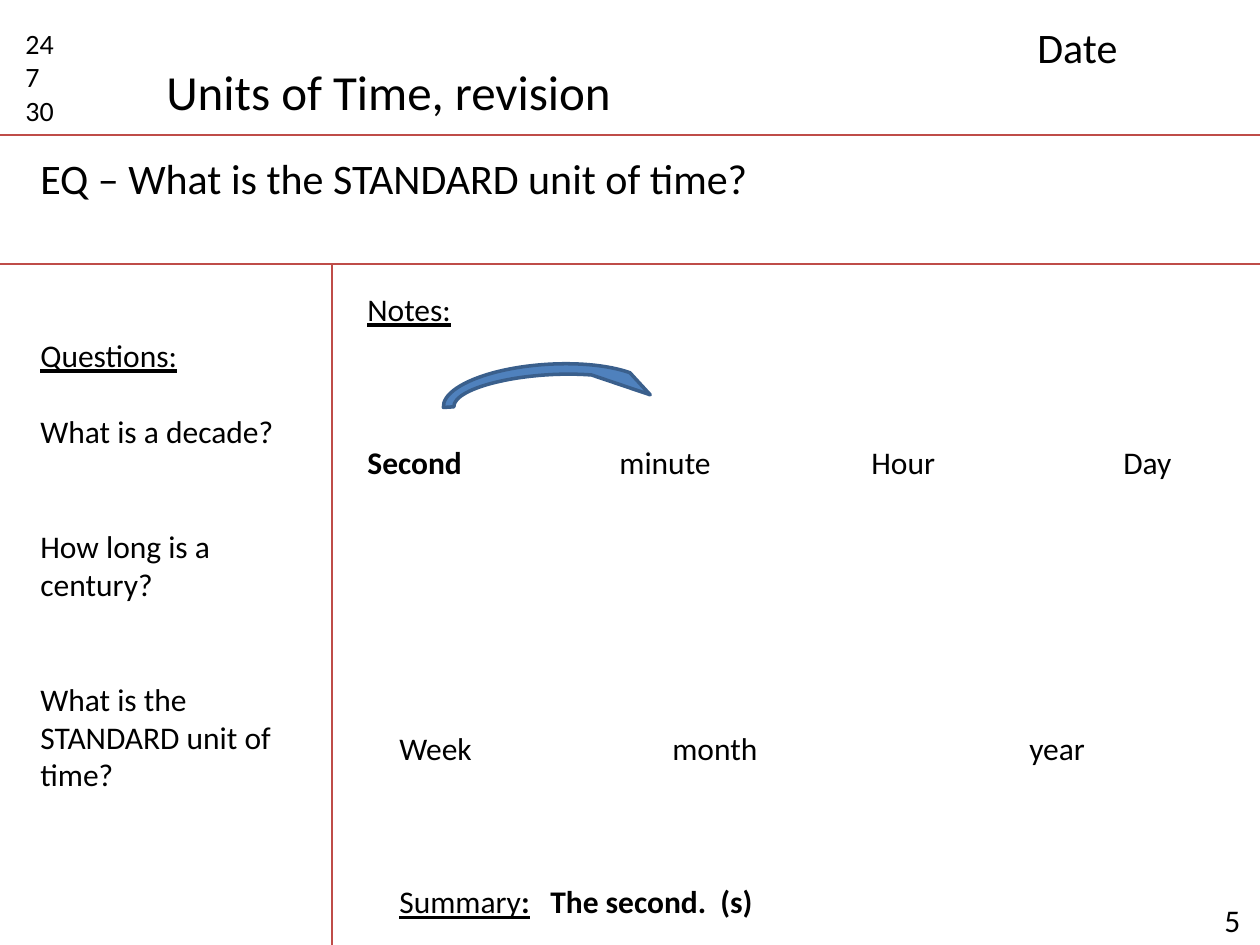
import pptx
import pptx.dml.color
import pptx.enum.shapes
import pptx.enum.text
import pptx.oxml
import pptx.oxml.ns
import pptx.util

RGBColor = pptx.dml.color.RGBColor
BLACK = RGBColor(0x00, 0x00, 0x00)
RULE_RED = RGBColor(0xBF, 0x4C, 0x48)
ARROW_BLUE = RGBColor(0x4F, 0x81, 0xBD)
ARROW_EDGE = RGBColor(0x3A, 0x5F, 0x8C)

PAGE_WIDTH, PAGE_HEIGHT = 1260, 945
EMU_PER_PX = 914400 / 126
BLANK_LINE = 22  # points, one line of 18 pt text

PLAIN = {}
BOLD = {"bold": True}
UNDERLINE = {"underline": True}


def px(length):
    return pptx.util.Emu(round(length * EMU_PER_PX))


class NotesPage:
    """Style and current page of a Cornell notes sheet."""

    font_name = "Calibri"

    def __init__(self, deck):
        self.page = deck.slides.add_slide(deck.slide_layouts[6])

    def text(self, left, top, width, height, paras, size=18, wrap=True):
        """Each para is (blank lines before, tab stops in px, [(words, format)])."""
        box = self.page.shapes.add_textbox(px(left), px(top), px(width), px(height))
        frame = box.text_frame
        frame.word_wrap = wrap
        frame.auto_size = pptx.enum.text.MSO_AUTO_SIZE.SHAPE_TO_FIT_TEXT
        for index, (gap, stops, spans) in enumerate(paras):
            para = frame.paragraphs[0] if index == 0 else frame.add_paragraph()
            if stops:
                self.tab_stops(para, stops)
            if gap:
                para.space_before = pptx.util.Pt(gap * BLANK_LINE)
            for words, changes in spans:
                span = para.add_run()
                span.text = words
                values = {"name": self.font_name, "size": pptx.util.Pt(size), **changes}
                for key, value in values.items():
                    setattr(span.font, key, value)
                span.font.color.rgb = BLACK
        return box

    def tab_stops(self, para, stops):
        properties = para._p.get_or_add_pPr()
        tab_list = pptx.oxml.parse_xml(
            "<a:tabLst %s/>" % pptx.oxml.ns.nsdecls("a"))
        for stop in stops:
            tab = tab_list.makeelement(
                pptx.oxml.ns.qn("a:tab"), {"pos": str(px(stop)), "algn": "l"})
            tab_list.append(tab)
        properties.append(tab_list)

    def rule(self, x1, y1, x2, y2):
        line = self.page.shapes.add_connector(
            pptx.enum.shapes.MSO_CONNECTOR.STRAIGHT, px(x1), px(y1), px(x2), px(y2))
        line.line.color.rgb = RULE_RED
        line.line.width = pptx.util.Pt(0.75)
        line._element.spPr.append(pptx.oxml.parse_xml(
            "<a:effectLst %s/>" % pptx.oxml.ns.nsdecls("a")))

    def curved_arrow(self, left, top, width, height, rotation):
        arrow = self.page.shapes.add_shape(
            pptx.enum.shapes.MSO_SHAPE.CIRCULAR_ARROW,
            px(left), px(top), px(width), px(height))
        arrow.rotation = rotation
        arrow.shadow.inherit = False
        arrow.fill.solid()
        arrow.fill.fore_color.rgb = ARROW_BLUE
        arrow.line.color.rgb = ARROW_EDGE
        arrow.line.width = pptx.util.Pt(2)


def line_of(words, gap=0, stops=(), style=PLAIN):
    return gap, stops, [(words, style)]


def main():
    deck = pptx.Presentation()
    deck.slide_width, deck.slide_height = px(PAGE_WIDTH), px(PAGE_HEIGHT)
    notes = NotesPage(deck)

    # Page number and ruled layout
    notes.text(1212, 895, 48, 50, [line_of("5")])
    for y in (135, 264):
        notes.rule(0, y, PAGE_WIDTH, y)
    notes.rule(332, 264, 332, PAGE_HEIGHT)

    # Header
    notes.text(13, 20, 79, 115, [line_of(n) for n in ("24", "7", "30")], size=16)
    notes.text(154, 55, 475, 72, [line_of("Units of Time, revision")],
               size=28, wrap=False)
    notes.text(1025, 15, 218, 63, [line_of("Date")], size=24)
    notes.text(28, 146, 1188, 63,
               [line_of("EQ – What is the STANDARD unit of time?")], size=24)

    # Notes: short units with the arrow from second to minute
    notes.text(355, 284, 849, 318, [
        line_of("Notes:", style=UNDERLINE),
        (3, (252, 504, 756), [("Second", BOLD), ("\tminute\tHour\tDay", PLAIN)]),
    ])
    notes.curved_arrow(438, 359, 223, 84, 356.5)

    # Notes: long units and summary
    notes.text(387, 723, 730, 204, [
        line_of("Week\tmonth\tyear", stops=(273, 630)),
        (3, (151,), [("Summary", UNDERLINE), (":", {**UNDERLINE, **BOLD}),
                     ("\tThe second.  (s)", BOLD)]),
    ])

    # Questions column
    notes.text(28, 330, 295, 471, [
        line_of("Questions:", style=UNDERLINE),
        line_of("What is a decade?", gap=1),
        line_of("How long is a century?", gap=2),
        line_of("What is the STANDARD unit of time?", gap=2),
    ])

    deck.save("out.pptx")


if __name__ == "__main__":
    main()
